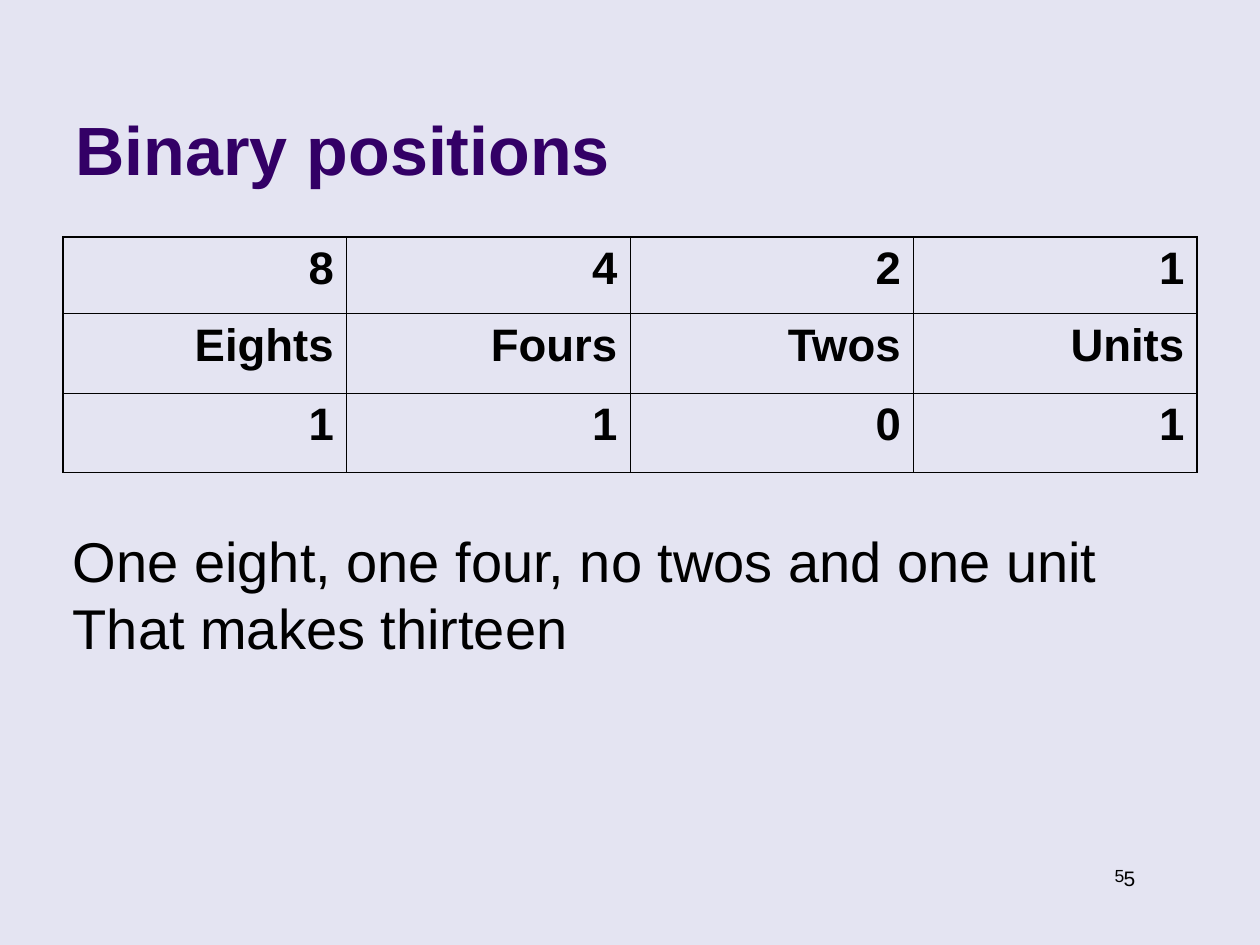
"""Build the slide on binary positions with its place-value table."""
import pptx
import pptx.dml.color
import pptx.enum.text
import pptx.oxml
import pptx.oxml.ns
import pptx.util
from pptx.util import Inches

BACKGROUND = pptx.dml.color.RGBColor(0xE4, 0xE4, 0xF2)
PURPLE = pptx.dml.color.RGBColor(0x33, 0x00, 0x66)
BLACK = pptx.dml.color.RGBColor(0, 0, 0)
ALIGN = pptx.enum.text.PP_ALIGN
FIT = pptx.enum.text.MSO_AUTO_SIZE
ANCHOR = pptx.enum.text.MSO_ANCHOR


def write(frame, text, size, color=BLACK, bold=False, align=ALIGN.LEFT, wrap=True, fit=FIT.SHAPE_TO_FIT_TEXT):
    frame.word_wrap = wrap
    frame.auto_size = fit
    frame.text = text
    for paragraph in frame.paragraphs:
        paragraph.alignment = align
        paragraph.font.name = "Arial"
        paragraph.font.size = pptx.util.Pt(size)
        paragraph.font.bold = bold
        paragraph.font.color.rgb = color


def add_border(cell, side, width):
    cell._tc.get_or_add_tcPr().append(pptx.oxml.parse_xml(
        f'<a:ln{side} {pptx.oxml.ns.nsdecls("a")} w="{pptx.util.Pt(width)}">'
        f'<a:solidFill><a:srgbClr val="{BLACK}"/></a:solidFill></a:ln{side}>'))


presentation = pptx.Presentation()
presentation.slide_width = Inches(10)
presentation.slide_height = Inches(7.5)
slide = presentation.slides.add_slide(presentation.slide_layouts[5])
slide.background.fill.solid()
slide.background.fill.fore_color.rgb = BACKGROUND

small_number = slide.shapes.add_textbox(Inches(6.97), Inches(6.82), Inches(2.05), Inches(0.27))
write(small_number.text_frame, "5", 10, align=ALIGN.RIGHT)
large_number = slide.shapes.add_textbox(Inches(8.82), Inches(6.82), Inches(0.96), Inches(0.3))
write(large_number.text_frame, "5", 12, wrap=False)

heading = slide.shapes.title
heading.left, heading.top = Inches(0.5), Inches(0.13)
heading.width, heading.height = Inches(8.25), Inches(1.42)
heading.text_frame.vertical_anchor = ANCHOR.BOTTOM
write(heading.text_frame, "Binary positions", 39, color=PURPLE, bold=True, fit=FIT.NONE)

POSITIONS = [
    ["8", "4", "2", "1"],
    ["Eights", "Fours", "Twos", "Units"],
    ["1", "1", "0", "1"],
]
last_row, last_column = len(POSITIONS) - 1, len(POSITIONS[0]) - 1
positions = slide.shapes.add_table(
    last_row + 1, last_column + 1, Inches(0.5), Inches(1.88), Inches(9), Inches(1.87)).table
positions.first_row = False
positions.horz_banding = False
for row, height in zip(positions.rows, (0.61, 0.63, 0.63)):
    row.height = Inches(height)

for r, values in enumerate(POSITIONS):
    for c, value in enumerate(values):
        cell = positions.cell(r, c)
        outer_sides = {"L": c == 0, "R": c == last_column, "T": r == 0, "B": r == last_row}
        for side, is_outer in outer_sides.items():
            add_border(cell, side, 1.08 if is_outer else 0.45)
        cell.fill.background()
        cell.vertical_anchor = ANCHOR.TOP
        write(cell.text_frame, value, 26, bold=True, align=ALIGN.RIGHT, fit=None)

reading = slide.shapes.add_textbox(Inches(0.48), Inches(4.13), Inches(8.36), Inches(1.17))
write(reading.text_frame, "One eight, one four, no twos and one unit\nThat makes thirteen", 32, wrap=False)

presentation.save("out.pptx")
